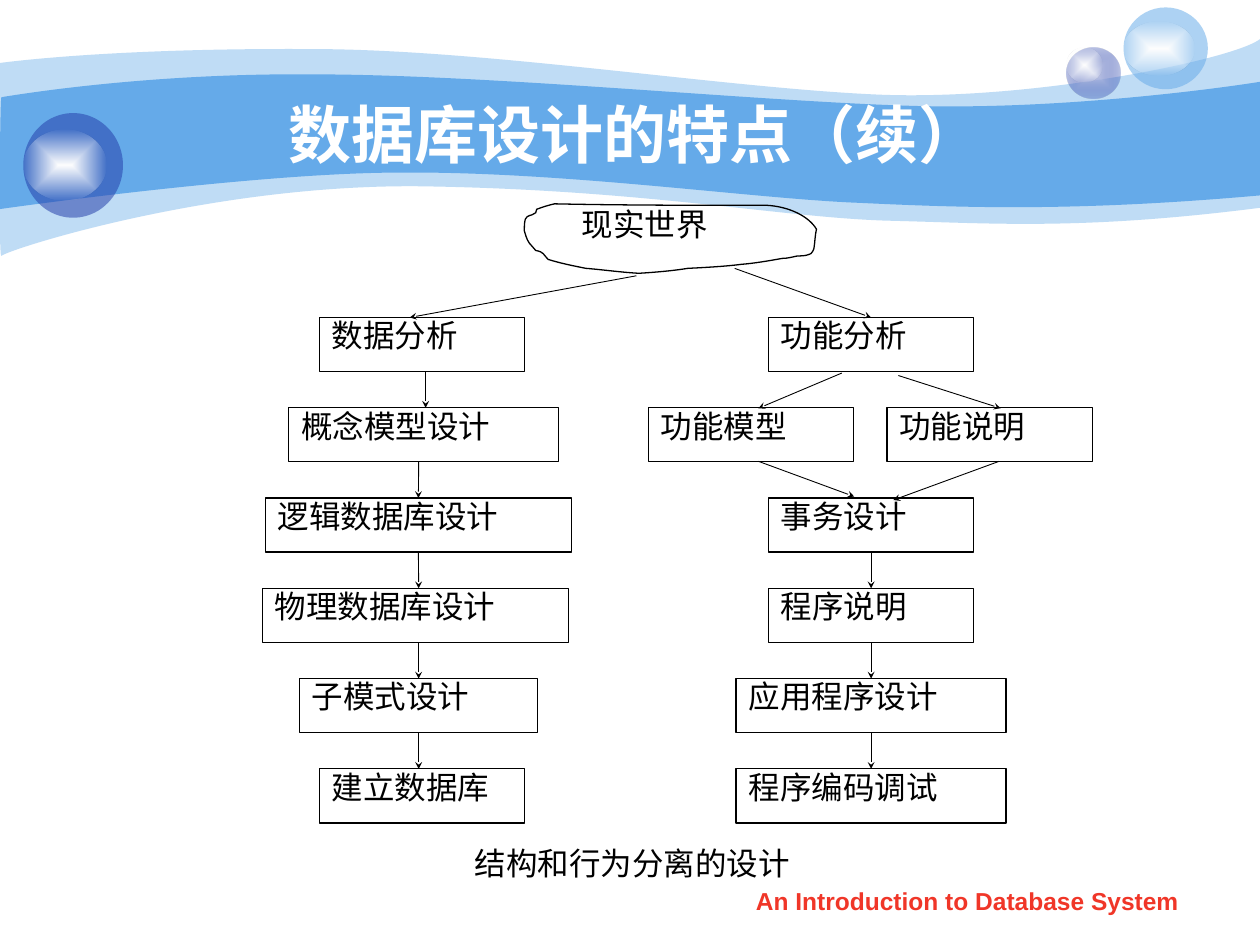
from dataclasses import dataclass

from pptx import Presentation
from pptx.dml.color import RGBColor
from pptx.enum.shapes import MSO_CONNECTOR as CONN, MSO_SHAPE as SHAPE
from pptx.enum.text import MSO_ANCHOR as ANCHOR, PP_ALIGN as ALIGN
from pptx.oxml import parse_xml
from pptx.oxml.ns import nsdecls, qn
from pptx.util import Cm, Pt

WHITE = RGBColor(0xFF, 0xFF, 0xFF)
BLACK = RGBColor(0, 0, 0)
SKY = RGBColor(0x65, 0xAA, 0xE9)
NAVY = RGBColor(0x23, 0x3D, 0xA9)
LILAC = RGBColor(0xC7, 0xCE, 0xE9)
RED = RGBColor(0xF0, 0x36, 0x28)

ROW_TOP, ROW_STEP, BOX_H = 6.4, 1.82, 1.09
TOP, BOTTOM = 0, 2
JOIN_TOLERANCE = Cm(0.02)

BODY = dict(alignment=ALIGN.JUSTIFY, line_spacing=0.8, space_before=Pt(4.5))
CAPTION = dict(line_spacing=0.9, space_before=Pt(4.5))
CENTRED = dict(alignment=ALIGN.CENTER)


@dataclass
class Box:
    text: str
    row: int
    left: float
    width: float = 4.14


@dataclass
class Ball:
    """A tinted sphere with a soft highlight at its left."""
    left: float
    top: float
    size: tuple[float, float]
    shine_top: float
    shine_size: tuple[float, float]
    color: RGBColor
    alpha: int
    core: RGBColor | None = None


# Outline segments: 2 numbers are a line's end, 6 numbers a Bézier curve.
PALE_WAVE = [
    (0, 1.27), (0.61, 1.19, 2.72, 0.97, 6.27, 0.99), (9.8, 0.99, 14.61, 1.78, 17.75, 1.91),
    (20.88, 2.03, 24.89, 1.19, 25.4, 0.79), (25.4, 4.19), (21.79, 4.65, 19.99, 4.5, 17.91, 4.45),
    (15.8, 4.39, 13.08, 3.84, 8.71, 3.76), (4.37, 3.66, 0.1, 5.05, 0.03, 5.16),
    (-0.03, 5.28, 0, 1.9, 0, 1.27)]
WAVE = [
    (0.03, 1.96), (0.05, 1.96, 2.79, 1.47, 6.3, 1.5), (9.8, 1.5, 15.11, 2.03, 18.24, 2.13),
    (21.36, 2.24, 24.79, 1.75, 25.4, 1.65), (25.4, 3.94), (21.67, 4.27, 19.43, 4.19, 17.32, 4.09),
    (15.21, 4.01, 11.35, 3.45, 8.05, 3.48), (5.16, 3.48, -0.05, 4.22, -0.03, 4.22),
    (0, 4.22, 0, 1.96, 0.03, 1.96)]
CLOUD = [
    (10.82, 4.22), (10.95, 4.17, 11.05, 4.14, 11.18, 4.11), (12.6, 4.14, 14.05, 4.14, 15.47, 4.14),
    (15.93, 4.17, 16.31, 4.37, 16.46, 4.62), (16.43, 4.75, 16.43, 4.88, 16.41, 5),
    (16.41, 5.03, 16.36, 5.13, 16.31, 5.13), (16.23, 5.16, 16.16, 5.16, 16.08, 5.16),
    (15.98, 5.18, 15.88, 5.21, 15.77, 5.21), (15.49, 5.26, 15.21, 5.31, 14.94, 5.33),
    (14.58, 5.38, 13.87, 5.41, 13.87, 5.41), (13.56, 5.46, 13.21, 5.49, 12.88, 5.51),
    (12.52, 5.49, 12.17, 5.44, 11.81, 5.41), (11.56, 5.36, 11.3, 5.31, 11.05, 5.23),
    (10.95, 5.13, 10.97, 5.08, 10.8, 5.05), (10.77, 5.03, 10.77, 5, 10.74, 4.98),
    (10.72, 4.95, 10.69, 4.93, 10.67, 4.9), (10.62, 4.83, 10.59, 4.72, 10.57, 4.65),
    (10.57, 4.57, 10.57, 4.5, 10.59, 4.42), (10.64, 4.32, 10.69, 4.37, 10.8, 4.29),
    (10.82, 4.27, 10.82, 4.24, 10.82, 4.22)]

BALLS = [
    Ball(21.51, 0.97, (1.07, 1.02), 0.97, (0.71, 0.69), NAVY, 31, LILAC),
    Ball(22.65, 0.15, (1.7, 1.65), 0.43, (1.42, 1.09), SKY, 53),
    Ball(0.47, 2.28, (2.01, 2.11), 2.62, (1.68, 1.42), NAVY, 53),
]
DATA_BOXES = [
    Box("数据分析", 0, 6.44), Box("概念模型设计", 1, 5.82, 5.44),
    Box("逻辑数据库设计", 2, 5.35, 6.17), Box("物理数据库设计", 3, 5.29, 6.17),
    Box("子模式设计", 4, 6.04, 4.8), Box("建立数据库", 5, 6.44),
]
FUNCTION_BOXES = [Box("功能分析", 0, 15.49), Box("功能模型", 1, 13.07), Box("功能说明", 1, 17.88)]
PROGRAM_BOXES = [
    Box("事务设计", 2, 15.49), Box("程序说明", 3, 15.49),
    Box("应用程序设计", 4, 14.84, 5.44), Box("程序编码调试", 5, 14.84, 5.44),
]
DATA_ARROWS_X = [8.58, 8.44, 8.44, 8.44, 8.44]
PROGRAM_ARROWS_X = [17.56] * 3
BRANCHES = [
    ((12.83, 5.56), (8.26, 6.4)), ((16.97, 7.52), (15.29, 8.23)), ((18.11, 7.57), (20.17, 8.23)),
    ((15.29, 9.3), (17.22, 10.01)), ((20.14, 9.3), (18.01, 10.08)),
]


def style(sp, fill: RGBColor | None = None, line: RGBColor | None = None, alpha: int = 100) -> None:
    sp.shadow.inherit = False
    if fill is None:
        sp.fill.background()
    else:
        sp.fill.solid()
        sp.fill.fore_color.rgb = fill
        if alpha < 100:
            color = sp.fill._xPr.find(qn("a:solidFill"))[0]
            color.append(parse_xml(f'<a:alpha {nsdecls("a")} val="{alpha * 1000}"/>'))
    if line is None:
        sp.line.fill.background()
    else:
        sp.line.color.rgb, sp.line.width = line, Pt(0.75)


def glow(sp, inner: RGBColor, outer: RGBColor, alpha: int) -> None:
    """Give the shape a gradient from its centre to a translucent rim."""
    style(sp, inner)
    solid = sp.fill._xPr.find(qn("a:solidFill"))
    solid.getparent().replace(solid, parse_xml(
        f'<a:gradFill {nsdecls("a")} rotWithShape="1"><a:gsLst>'
        f'<a:gs pos="0"><a:srgbClr val="{inner}"/></a:gs><a:gs pos="100000">'
        f'<a:srgbClr val="{outer}"><a:alpha val="{alpha * 1000}"/></a:srgbClr></a:gs></a:gsLst>'
        '<a:path path="rect"><a:fillToRect l="50000" t="50000" r="50000" b="50000"/></a:path>'
        '</a:gradFill>'))


def outline(shapes, segments: list[tuple]):
    """Draw a closed outline, merging each curve's three points into one Bézier."""
    points = [(Cm(seg[i]), Cm(seg[i + 1])) for seg in segments for i in range(0, len(seg), 2)]
    builder = shapes.build_freeform(*points[0])
    builder.add_line_segments(points[1:], close=True)
    sp = builder.convert_to_shape()
    steps = iter(list(sp._element.iter(qn("a:lnTo"))))
    for seg in segments[1:]:
        first = next(steps)
        if len(seg) == 6:
            curve = parse_xml(f'<a:cubicBezTo {nsdecls("a")}/>')
            first.addprevious(curve)
            for step in (first, next(steps), next(steps)):
                curve.append(step[0])
                step.getparent().remove(step)
    return sp


def add_ball(shapes, ball: Ball) -> None:
    sp = shapes.add_shape(SHAPE.OVAL, Cm(ball.left), Cm(ball.top), *map(Cm, ball.size))
    if ball.core is None:
        style(sp, ball.color, alpha=ball.alpha)
    else:
        glow(sp, ball.core, ball.color, ball.alpha)
    shine = shapes.add_shape(SHAPE.OVAL, Cm(ball.left), Cm(ball.shine_top),
                             *map(Cm, ball.shine_size))
    glow(shine, WHITE, WHITE, 0)


def write(sp, text: str, layout: dict, size: int = 18, color: RGBColor = BLACK,
          bold: bool = False, anchor=ANCHOR.TOP, wrap: bool = True) -> None:
    tf = sp.text_frame
    tf.word_wrap, tf.vertical_anchor = wrap, anchor
    p = tf.paragraphs[0]
    for name, value in layout.items():
        setattr(p, name, value)
    r = p.add_run()
    r.text = text
    for name, value in dict(name="Arial", size=Pt(size), bold=bold).items():
        setattr(r.font, name, value)
    r.font.color.rgb = color


def add_box(shapes, box: Box):
    sp = shapes.add_shape(SHAPE.RECTANGLE, Cm(box.left), Cm(ROW_TOP + box.row * ROW_STEP),
                          Cm(box.width), Cm(BOX_H))
    style(sp, line=BLACK)
    write(sp, box.text, BODY)
    return sp


def add_arrow(shapes, start: tuple[int, int], end: tuple[int, int]):
    arrow = shapes.add_connector(CONN.STRAIGHT, *start, *end)
    arrow.line.color.rgb, arrow.line.width = BLACK, Pt(0.5)
    arrow.line._get_or_add_ln().append(
        parse_xml(f'<a:tailEnd {nsdecls("a")} type="stealth" w="sm" len="sm"/>'))
    arrow._element.spPr.append(parse_xml(f'<a:effectLst {nsdecls("a")}/>'))
    return arrow


def add_step(shapes, upper, lower, x: int) -> None:
    """Draw a vertical arrow, joined to the boxes that are centred on it."""
    arrow = add_arrow(shapes, (x, upper.top + upper.height), (x, lower.top))
    for sp, join, side in ((upper, arrow.begin_connect, BOTTOM), (lower, arrow.end_connect, TOP)):
        if abs(sp.left + sp.width // 2 - x) < JOIN_TOLERANCE:
            join(sp, side)


def main() -> None:
    prs = Presentation()
    prs.slide_width, prs.slide_height = Cm(25.4), Cm(19.05)
    shapes = prs.slides.add_slide(prs.slide_layouts[6]).shapes

    def label(area: tuple, text: str, layout: dict, **options) -> None:
        write(shapes.add_textbox(*map(Cm, area)), text, layout, **options)

    style(outline(shapes, PALE_WAVE), SKY, alpha=41)
    style(outline(shapes, WAVE), SKY)
    for ball in BALLS:
        add_ball(shapes, ball)
    label((14.5, 17.73, 10.01, 0.89), "An Introduction to Database System", CENTRED,
          size=14, color=RED, bold=True)
    label((2.54, 1.9, 20.52, 1.57), "数据库设计的特点（续）", CENTRED,
          size=36, color=WHITE, bold=True, anchor=ANCHOR.MIDDLE)
    style(outline(shapes, CLOUD), line=BLACK)
    label((11.48, 4.16, 3.99, 1.3), "现实世界", BODY)

    data, function, program = ([add_box(shapes, box) for box in column]
                               for column in (DATA_BOXES, FUNCTION_BOXES, PROGRAM_BOXES))
    for boxes, xs in ((data, DATA_ARROWS_X), (program, PROGRAM_ARROWS_X)):
        for upper, lower, x in zip(boxes, boxes[1:], xs):
            add_step(shapes, upper, lower, Cm(x))
    add_arrow(shapes, (Cm(14.81), Cm(5.41)), (Cm(17.56), Cm(6.4))).end_connect(function[0], TOP)
    for start, end in BRANCHES:
        add_arrow(shapes, tuple(map(Cm, start)), tuple(map(Cm, end)))

    label((9.32, 16.97, 6.99, 0.94), "结构和行为分离的设计", CAPTION,
          anchor=ANCHOR.MIDDLE, wrap=False)
    prs.save("out.pptx")


if __name__ == "__main__":
    main()
